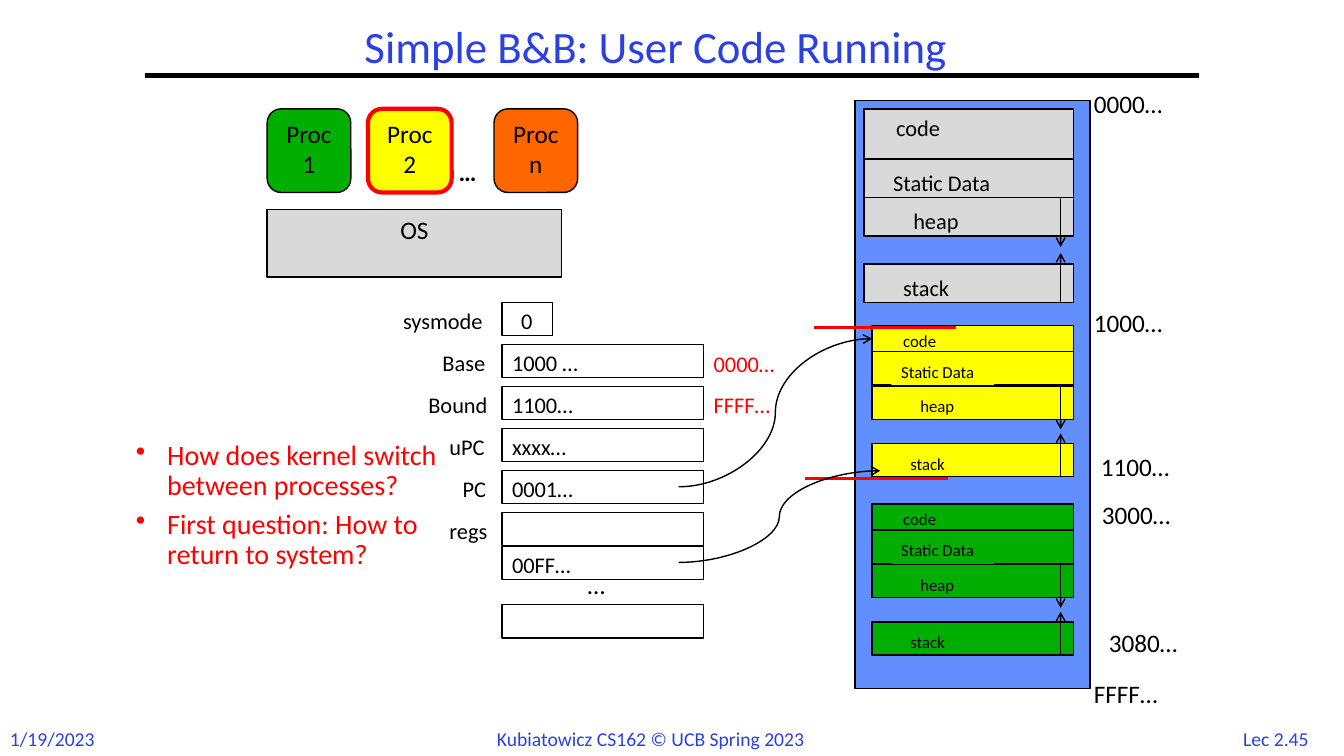
from lxml import etree
from pptx import Presentation
from pptx.dml.color import RGBColor
from pptx.enum.shapes import MSO_CONNECTOR as LineKind, MSO_SHAPE as Shape
from pptx.enum.text import MSO_ANCHOR as Anchor, MSO_AUTO_SIZE as AutoSize, PP_ALIGN as Align
from pptx.oxml.ns import qn
from pptx.util import Inches, Pt

BLACK = RGBColor(0x00, 0x00, 0x00)
BLUE = RGBColor(0x2A, 0x40, 0xE2)
MEMORY_BLUE = RGBColor(0x61, 0x8F, 0xFD)
GRAY = RGBColor(0xD9, 0xD9, 0xD9)
GREEN = RGBColor(0x00, 0xAE, 0x00)
YELLOW = RGBColor(0xFF, 0xFF, 0x00)
ORANGE = RGBColor(0xFF, 0x66, 0x00)
RED = RGBColor(0xFF, 0x00, 0x00)


class SlideBuilder:
    font_name = "Calibri"

    def __init__(self, slide):
        self.shapes = slide.shapes

    def style(self, paragraph, size, color, bold=False):
        font = paragraph.font
        font.name, font.size, font.bold = self.font_name, Pt(size), bold
        font.color.rgb = color

    def box(self, left, top, width, height, fill=None, text="", kind=Shape.RECTANGLE,
            line=BLACK, weight=1):
        shape = self.shapes.add_shape(kind, Inches(left), Inches(top), Inches(width), Inches(height))
        shape.shadow.inherit = False
        if fill is None:
            shape.fill.background()
        else:
            shape.fill.solid()
            shape.fill.fore_color.rgb = fill
        shape.line.color.rgb = line
        shape.line.width = Pt(weight)
        if text:
            frame = shape.text_frame
            frame.vertical_anchor = Anchor.TOP
            frame.text = text
            frame.paragraphs[0].alignment = Align.CENTER
            self.style(frame.paragraphs[0], 18, BLACK)
        return shape

    def label(self, text, left, top, width, size=16, color=BLACK, align=Align.LEFT,
              bold=False, fill=None):
        height = size * 1.22 / 72 + 0.1
        label = self.shapes.add_textbox(Inches(left), Inches(top), Inches(width), Inches(height))
        if fill is not None:
            label.fill.solid()
            label.fill.fore_color.rgb = fill
        frame = label.text_frame
        frame.word_wrap = False
        frame.auto_size = AutoSize.SHAPE_TO_FIT_TEXT
        frame.text = text
        frame.paragraphs[0].alignment = align
        self.style(frame.paragraphs[0], size, color, bold)

    def title(self, text):
        title = self.shapes.add_textbox(Inches(2.17), Inches(0.08), Inches(8.67), Inches(0.81))
        frame = title.text_frame
        frame.word_wrap = True
        frame.vertical_anchor = Anchor.MIDDLE
        frame.text = text
        frame.paragraphs[0].alignment = Align.CENTER
        frame.paragraphs[0].line_spacing = 0.9
        self.style(frame.paragraphs[0], 32, BLUE)

    def bullets(self, items, left, top, width, height):
        body = self.shapes.add_textbox(Inches(left), Inches(top), Inches(width), Inches(height))
        frame = body.text_frame
        frame.word_wrap = True
        frame.text = "\n".join(items)
        for index, paragraph in enumerate(frame.paragraphs):
            properties = paragraph._p.get_or_add_pPr()
            properties.set("marL", str(Inches(0.31)))
            properties.set("indent", str(Inches(-0.31)))
            etree.SubElement(properties, qn("a:buChar")).set("char", "•")
            paragraph.line_spacing = 0.9
            if index:
                paragraph.space_before = Pt(6)
            self.style(paragraph, 20, RED)

    def line(self, start, end, color=BLACK, weight=1, arrow=False, kind=LineKind.STRAIGHT):
        points = [Inches(value) for value in (*start, *end)]
        connector = self.shapes.add_connector(kind, *points)
        connector.line.color.rgb = color
        connector.line.width = Pt(weight)
        if arrow:
            outline = connector.line._get_or_add_ln()
            etree.SubElement(outline, qn("a:tailEnd")).set("type", "arrow")
        etree.SubElement(connector._element.spPr, qn("a:effectLst"))
        return connector

    def process_memory(self, left, top, width, segments, size, fill, reach, label_fill=None):
        boxes = []
        for name, offset, height, label_left, label_width in segments:
            boxes.append(self.box(left, top + offset, width, height, fill))
            label_top = top + offset + (0.05 if offset else 0)
            self.label(name, label_left, label_top, label_width, size,
                       fill=label_fill if name == "Static Data" else None)
        heap_top = top + segments[2][1]
        stack_bottom = top + segments[3][1] + segments[3][2]
        self.line((10.52, stack_bottom), (10.52, stack_bottom - reach), arrow=True)
        self.line((10.52, heap_top), (10.52, heap_top + reach), arrow=True)
        return boxes[0]


def main():
    presentation = Presentation()
    presentation.slide_width, presentation.slide_height = Inches(13.33), Inches(7.5)
    builder = SlideBuilder(presentation.slides.add_slide(presentation.slide_layouts[6]))

    builder.label("Lec 2.45", 12.17, 7.16, 0.97, 14, BLUE, Align.CENTER)
    builder.label("1/19/2023", 0, 7.16, 1.07, 14, BLUE)
    builder.line((1.44, 0.75), (11.89, 0.75), weight=3)
    builder.label("Kubiatowicz CS162 © UCB Spring 2023", 4.83, 7.16, 3.68, 14, BLUE)
    builder.title("Simple B&B: User Code Running")

    builder.box(2.65, 2.08, 2.92, 0.67, GRAY, "OS")
    for name, left, fill, line, weight in (
        ("Proc 1", 2.65, GREEN, BLACK, 1),
        ("Proc 2", 3.65, YELLOW, RED, 3),
        ("Proc n", 4.9, ORANGE, BLACK, 1),
    ):
        builder.box(left, 1.08, 0.83, 0.83, fill, name, Shape.ROUNDED_RECTANGLE, line, weight)
    builder.label("…", 4.45, 1.5, 0.45, 18, bold=True)

    builder.box(8.48, 1, 2.33, 5.83, MEMORY_BLUE)
    large_segments = (
        ("code", 0, 0.49, 8.79, 0.69),
        ("Static Data", 0.5, 0.38, 8.76, 1.3),
        ("heap", 0.88, 0.38, 8.96, 0.7),
        ("stack", 1.54, 0.38, 8.86, 0.73),
    )
    small_segments = (
        ("code", 0, 0.26, 8.86, 0.56),
        ("Static Data", 0.26, 0.33, 8.84, 1.02),
        ("heap", 0.6, 0.33, 9.03, 0.57),
        ("stack", 1.17, 0.33, 8.93, 0.59),
    )
    builder.process_memory(8.57, 1.08, 2.08, large_segments, 16, GRAY, 0.49)
    running_code = builder.process_memory(8.65, 3.23, 2, small_segments, 12, YELLOW, 0.43, YELLOW)
    builder.process_memory(8.65, 5, 2, small_segments, 12, GREEN, 0.43, GREEN)

    for address, left, top, width in (
        ("0000…", 10.75, 0.83, 1.02),
        ("FFFF…", 10.75, 6.68, 1.07),
        ("1000…", 10.75, 3, 1.02),
        ("1100…", 10.82, 4.43, 1),
        ("3000…", 10.83, 4.9, 1.02),
        ("3080…", 10.9, 6.17, 1.02),
    ):
        builder.label(address, left, top, width, 18)

    registers = (
        ("sysmode", 1.1, 0.5, "0", 5.07, 0.33),
        ("Base", 0.71, 2, "1000 …", 4.98, 0.99),
        ("Bound", 0.85, 2, "1100…", 4.98, 0.91),
        ("uPC", 0.64, 2, "xxxx…", 4.98, 0.88),
        ("PC", 0.51, 2, "0001…", 4.98, 0.92),
        ("regs", 0.64, 2, "", 4.98, 0),
    )
    for row, (name, name_width, width, value, value_left, value_width) in enumerate(registers):
        top = 3 + row * 5 / 12
        builder.box(4.98, top, width, 0.33)
        builder.label(name, 5 - name_width, top, name_width)
        if value:
            builder.label(value, value_left, top, value_width)
    for top in (5.42, 6):
        builder.box(4.98, top, 2, 0.33)
    builder.label("00FF…", 4.98, 5.42, 0.95)
    builder.label("…", 5.73, 5.6, 0.45, 18)

    builder.line((8.07, 3.25), (9.48, 3.25), RED, 2.25)
    builder.line((7.98, 4.75), (9.4, 4.75), RED, 2.25)
    builder.label("0000…", 6.98, 3.42, 0.92, color=RED)
    builder.label("FFFF…", 6.98, 3.83, 0.97, color=RED)
    pc_arrow = builder.line((6.73, 4.83), (8.65, 3.36), arrow=True, kind=LineKind.CURVE)
    pc_arrow.end_connect(running_code, 1)
    builder.line((6.73, 5.58), (8.73, 4.67), arrow=True, kind=LineKind.CURVE)

    builder.bullets(
        ("How does kernel switch between processes?", "First question: How to return to system?"),
        1.25, 4.33, 3.36, 1.17,
    )
    presentation.save("out.pptx")


if __name__ == "__main__":
    main()
